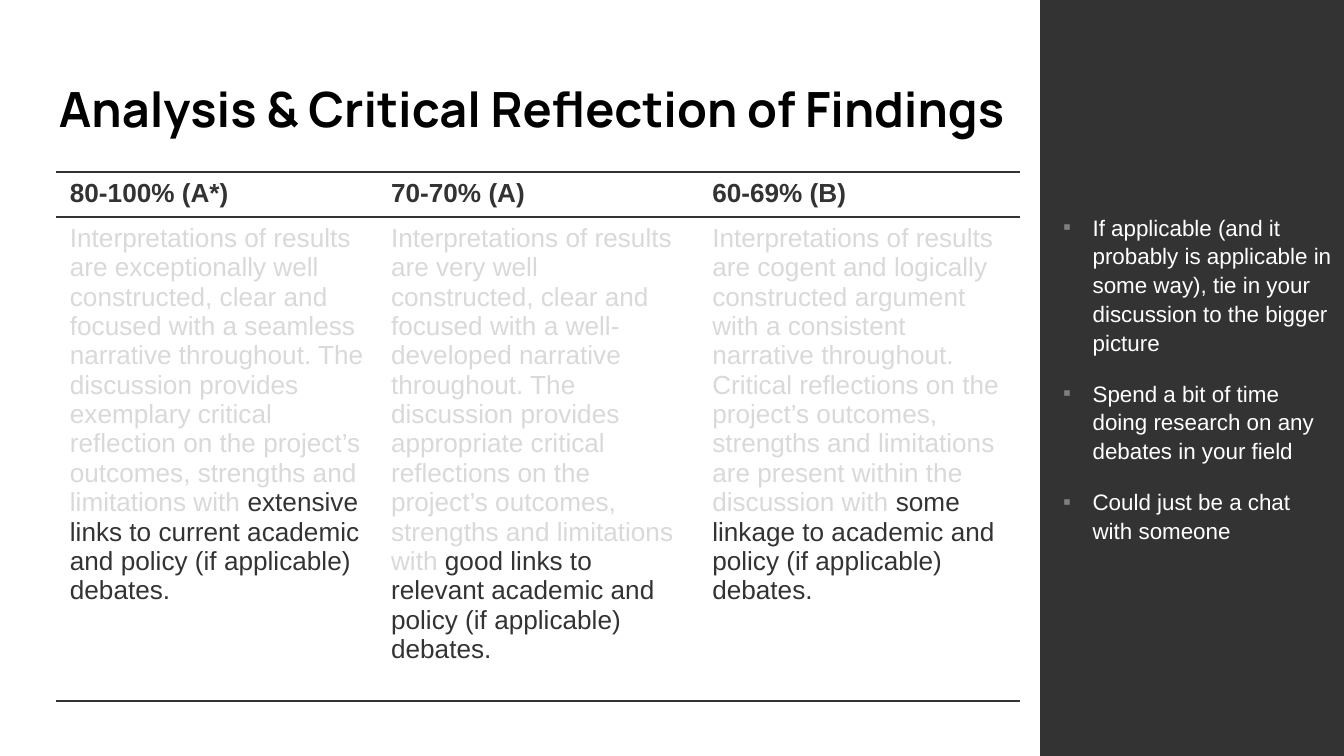
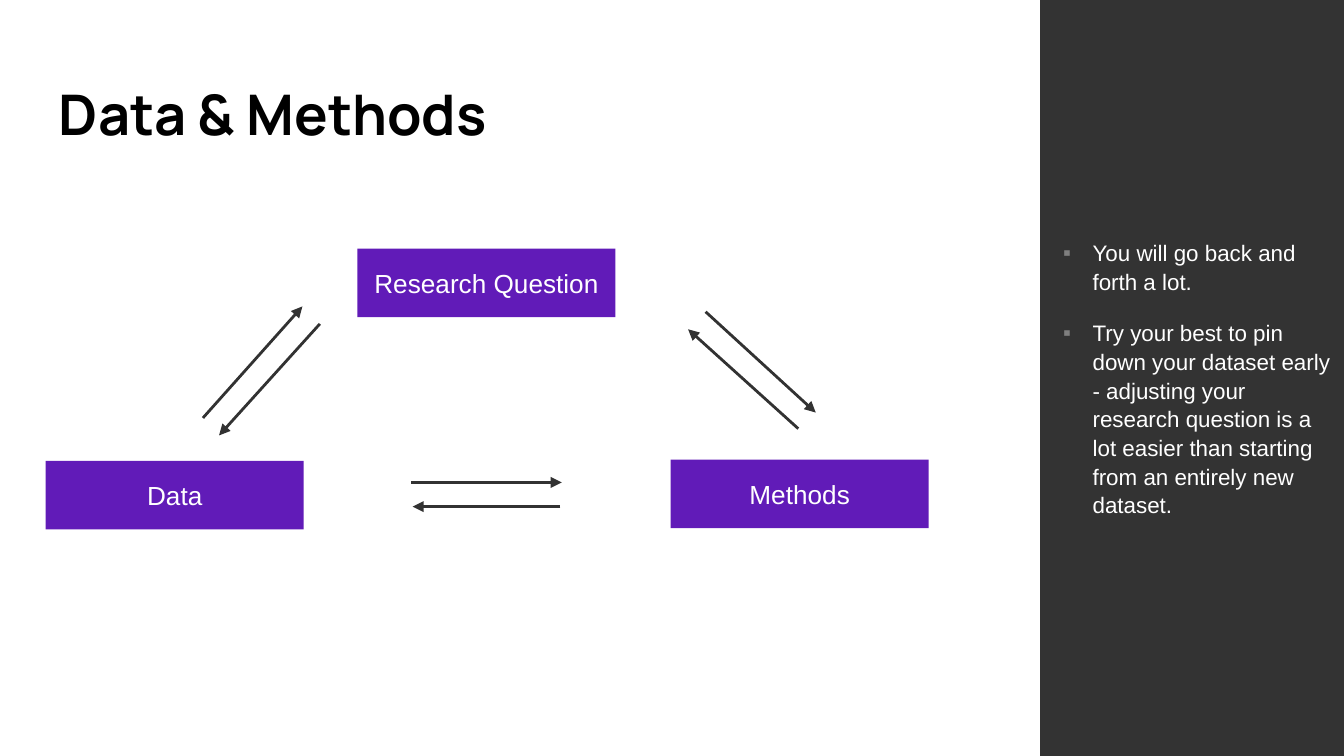
from lxml import etree
from pptx import Presentation
from pptx.dml.color import RGBColor
from pptx.enum.shapes import MSO_CONNECTOR as CONNECTOR, MSO_SHAPE as SHAPE
from pptx.enum.text import MSO_ANCHOR as ANCHOR, PP_ALIGN as ALIGN
from pptx.oxml import parse_xml
from pptx.oxml.ns import nsdecls, qn
from pptx.util import Inches, Pt

DARK, WHITE, BLACK = "333333", "FFFFFF", "000000"
MUTED, PURPLE, ARROW = "D9D9D9", "611BB8", "323232"
NO_TABLE_STYLE = "{2D5ABB26-0587-4C30-8999-92F81FD0307C}"


def add_run(paragraph, text, size, color, bold=False, font="Arial"):
    run = paragraph.add_run()
    run.text = text
    run.font.name = font
    run.font.size = Pt(size)
    run.font.bold = bold
    run.font.color.rgb = RGBColor.from_string(color)


def add_box(slide, left, top, width, height, color):
    """Add a plain filled rectangle and return its text frame, centred vertically."""
    shape = slide.shapes.add_shape(
        SHAPE.RECTANGLE, Inches(left), Inches(top), Inches(width), Inches(height))
    shape.shadow.inherit = False
    shape.fill.solid()
    shape.fill.fore_color.rgb = RGBColor.from_string(color)
    shape.line.fill.background()
    frame = shape.text_frame
    frame.word_wrap = True
    frame.vertical_anchor = ANCHOR.MIDDLE
    return frame


presentation = Presentation()
presentation.slide_width = Inches(10)
presentation.slide_height = Inches(5.625)

# Title and dark side panel shared by both slides
slide_texts = [
    ("Analysis & Critical Reflection of Findings", 26, [
        "If applicable (and it probably is applicable in some way), "
        "tie in your discussion to the bigger picture",
        "Spend a bit of time doing research on any debates in your field",
        "Could just be a chat with someone",
    ]),
    ("Data & Methods", 30, [
        "You will go back and forth a lot.",
        "Try your best to pin down your dataset early - adjusting your research "
        "question is a lot easier than starting from an entirely new dataset.",
    ]),
]
slides = []
for title, title_size, notes in slide_texts:
    slide = presentation.slides.add_slide(presentation.slide_layouts[6])
    slides.append(slide)
    title_frame = slide.shapes.add_textbox(
        Inches(0.34), Inches(0.49), Inches(9.32), Inches(0.68)).text_frame
    title_frame.word_wrap = True
    title_frame.margin_top = title_frame.margin_bottom = Inches(0.1)
    add_run(title_frame.paragraphs[0], title, title_size, BLACK, True, "Manrope")

    panel = add_box(slide, 7.74, 0, 2.26, 5.625, DARK)
    panel.margin_left = Inches(0.08)
    panel.margin_right = Inches(0.09)
    for index, note in enumerate(notes):
        paragraph = panel.add_paragraph() if index else panel.paragraphs[0]
        paragraph.alignment = ALIGN.LEFT
        paragraph.line_spacing = 1.07
        paragraph.space_after = Pt(12)
        properties = paragraph._p.get_or_add_pPr()
        properties.set("marL", str(Inches(0.31)))
        properties.set("indent", str(Inches(-0.22)))
        bullet_color = etree.SubElement(properties, qn("a:buClr"))
        etree.SubElement(bullet_color, qn("a:srgbClr"), val="7F7F7F")
        etree.SubElement(properties, qn("a:buFont"), typeface="Arial")
        etree.SubElement(properties, qn("a:buChar"), char="▪")
        add_run(paragraph, note, 12, WHITE)

findings_slide, methods_slide = slides

# Grade table: muted criteria with the key phrase in dark text
grades = [
    ("80-100% (A*)",
     "Interpretations of results are exceptionally well constructed, clear and focused "
     "with a seamless narrative throughout. The discussion provides exemplary critical "
     "reflection on the project’s outcomes, strengths and limitations with ",
     "extensive links to current academic and policy (if applicable) debates."),
    ("70-70% (A)",
     "Interpretations of results are very well constructed, clear and focused with a "
     "well- developed narrative throughout. The discussion provides appropriate critical "
     "reflections on the project’s outcomes, strengths and limitations with ",
     "good links to relevant academic and policy (if applicable) debates."),
    ("60-69% (B)",
     "Interpretations of results are cogent and logically constructed argument with a "
     "consistent narrative throughout. Critical reflections on the project’s outcomes, "
     "strengths and limitations are present within the discussion with ",
     "some linkage to academic and policy (if applicable) debates."),
]
table = findings_slide.shapes.add_table(
    2, len(grades), Inches(0.42), Inches(1.28), Inches(7.17), Inches(3.93)).table
table.first_row = table.horz_banding = False
table._tbl.tblPr.find(qn("a:tableStyleId")).text = NO_TABLE_STYLE
table.rows[0].height = Inches(0.33)
table.rows[1].height = Inches(3.6)
for column, (grade, criteria, key_phrase) in enumerate(grades):
    table.columns[column].width = Inches(2.39)
    header, body = table.cell(0, column), table.cell(1, column)
    add_run(header.text_frame.paragraphs[0], grade, 14, DARK, True)
    add_run(body.text_frame.paragraphs[0], criteria, 14, MUTED)
    add_run(body.text_frame.paragraphs[0], key_phrase, 14, DARK)
    for cell in (header, body):
        cell.fill.background()
        for edge in ("lnB", "lnT"):
            cell._tc.get_or_add_tcPr().insert(0, parse_xml(
                f'<a:{edge} {nsdecls("a")} w="{Pt(1)}"><a:solidFill>'
                f'<a:srgbClr val="{DARK}"/></a:solidFill></a:{edge}>'))

# Cycle between question, data and methods
for label, left, top in [
    ("Research Question", 2.66, 1.85),
    ("Data", 0.34, 3.43),
    ("Methods", 4.99, 3.42),
]:
    paragraph = add_box(methods_slide, left, top, 1.92, 0.51, PURPLE).paragraphs[0]
    paragraph.alignment = ALIGN.CENTER
    add_run(paragraph, label, 14, WHITE)

for points in [
    (1.51, 3.11, 2.25, 2.28),
    (2.38, 2.41, 1.63, 3.24),
    (5.94, 3.19, 5.12, 2.45),
    (5.25, 2.32, 6.07, 3.07),
    (4.17, 3.77, 3.07, 3.77),
    (3.06, 3.59, 4.18, 3.59),
]:
    arrow = methods_slide.shapes.add_connector(
        CONNECTOR.STRAIGHT, *[Inches(value) for value in points])
    arrow.line.color.rgb = RGBColor.from_string(ARROW)
    arrow.line.width = Pt(1.5)
    etree.SubElement(arrow.line._get_or_add_ln(), qn("a:tailEnd"), type="triangle")
    etree.SubElement(arrow._element.spPr, qn("a:effectLst"))

presentation.save("out.pptx")
